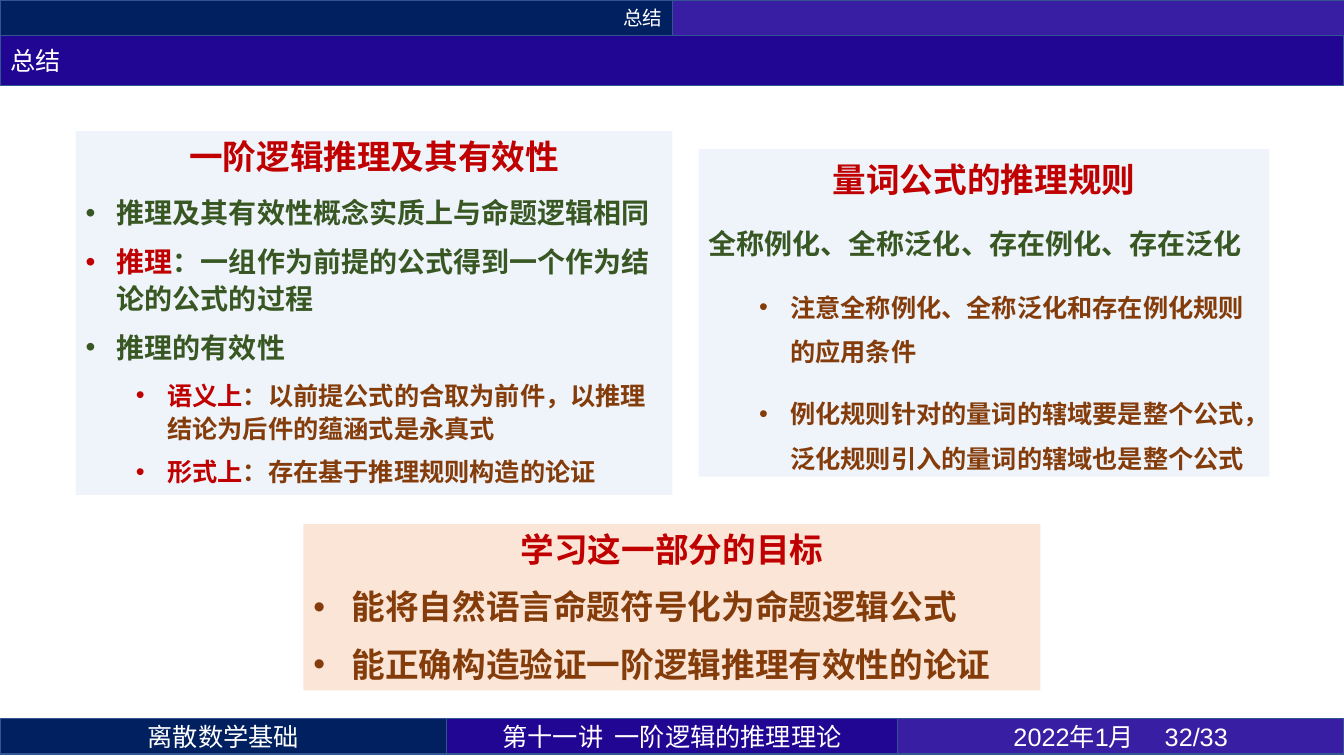
"""Build the summary slide on first-order logic inference."""
from lxml import etree
from pptx import Presentation
from pptx.dml.color import RGBColor
from pptx.enum.shapes import MSO_SHAPE
from pptx.enum.text import MSO_ANCHOR, MSO_AUTO_SIZE, PP_ALIGN
from pptx.oxml.ns import qn
from pptx.util import Inches, Pt

RECT = MSO_SHAPE.RECTANGLE
MIDDLE, TOP = MSO_ANCHOR.MIDDLE, MSO_ANCHOR.TOP
FIXED, GROW = MSO_AUTO_SIZE.NONE, MSO_AUTO_SIZE.SHAPE_TO_FIT_TEXT
LEFT, CENTER, RIGHT = PP_ALIGN.LEFT, PP_ALIGN.CENTER, PP_ALIGN.RIGHT
SANS = "Noto Sans CJK SC"
NAVY, INDIGO, VIOLET, EDGE = "002060", "210694", "371EA2", "325491"
WHITE, RED, GREEN, BROWN = "FFFFFF", "C00000", "385723", "843C0B"
BLUE, PEACH = "DEEBF7", "FBE5D6"


def paint(color, value):
    """Set a colour from a hex string."""
    color.rgb = RGBColor.from_string(value)


def write(frame, paras, bold=False, face=SANS):
    """Fill a text frame with formatted paragraphs."""
    for i, (form, indent, runs) in enumerate(paras):
        para = frame.paragraphs[0] if i == 0 else frame.add_paragraph()
        for name, value in form.items():
            setattr(para, name, value)
        if indent:
            left, hang = indent
            props = para._p.get_or_add_pPr()
            props.set("marL", str(Inches(left)))
            props.set("indent", str(-Inches(hang)))
            etree.SubElement(props, qn("a:buFont")).set("typeface", "Arial")
            etree.SubElement(props, qn("a:buChar")).set("char", "•")
        for text, size, color in runs:
            run = para.add_run()
            run.text = text
            font = run.font
            font.name, font.size, font.bold = face, Pt(size), bold
            paint(font.color, color)
            east = etree.SubElement(run._r.get_or_add_rPr(), qn("a:ea"))
            east.set("typeface", SANS)


deck = Presentation()
deck.slide_width, deck.slide_height = Inches(13.33), Inches(7.5)
slide = deck.slides.add_slide(deck.slide_layouts[5])
shapes = slide.shapes

bars = [
    (0, 0, 6.67, 0.35, NAVY, "总结", 14, RIGHT, SANS),
    (6.67, 0, 6.67, 0.35, VIOLET, "", 14, LEFT, SANS),
    (0, 7.13, 4.43, 0.35, NAVY, "离散数学基础", 18, CENTER, SANS),
    (4.43, 7.13, 4.47, 0.35, INDIGO, "第十一讲  一阶逻辑的推理理论", 18, CENTER, SANS),
    (8.9, 7.13, 4.43, 0.35, VIOLET, "2022年1月 \t32/33", 18, CENTER, "Arial"),
    (0, 0.35, 13.33, 0.5, INDIGO, "总结", 18, LEFT, SANS),
]
for x, y, wide, high, fill, text, size, align, face in bars:
    place = [Inches(v) for v in (x, y, wide, high)]
    if y == 0.35:
        bar = shapes.title
        bar.left, bar.top, bar.width, bar.height = place
    else:
        bar = shapes.add_shape(RECT, *place)
        bar.shadow.inherit = False
    bar.fill.solid()
    paint(bar.fill.fore_color, fill)
    paint(bar.line.color, EDGE)
    bar.line.width = Pt(1)
    frame = bar.text_frame
    frame.word_wrap, frame.auto_size = True, FIXED
    frame.vertical_anchor = MIDDLE
    if text:
        write(frame, [({"alignment": align}, None, [(text, size, WHITE)])], face=face)

head = {"alignment": CENTER, "space_after": Pt(6)}
even = {"alignment": LEFT, "space_before": Pt(6), "space_after": Pt(6)}
tight = even | {"space_after": Pt(3)}
point = tight | {"line_spacing": Pt(26)}
sub = tight | {"level": 1}
loose = {"line_spacing": Pt(32)}
rule = even | loose | {"level": 1}
goal, first, second = (0.38, 0.38), (0.31, 0.31), (0.81, 0.31)

cards = [
    (3.01, 5.2, 7.31, 1.65, PEACH, 100, [
        (head, None, [("学习这一部分的目标", 24, RED)]),
        (even, goal, [("能将自然语言命题符号化为命题逻辑公式", 24, BROWN)]),
        (even, goal, [("能正确构造验证一阶逻辑推理有效性的论证", 24, BROWN)]),
    ]),
    (0.75, 1.3, 5.92, 3.61, BLUE, 50, [
        (head, None, [("一阶逻辑推理及其有效性", 24, RED)]),
        (point, first, [("推理及其有效性概念实质上与命题逻辑相同", 20, GREEN)]),
        (point, first, [("推理", 20, RED),
                        ("：一组作为前提的公式得到一个作为结论的公式的过程", 20, GREEN)]),
        (point, first, [("推理的有效性", 20, GREEN)]),
        (sub | {"line_spacing": Pt(24)}, second, [
            ("语义上", 18, RED),
            ("：以前提公式的合取为前件，以推理结论为后件的蕴涵式是永真式", 18, BROWN)]),
        (sub, second, [("形式上", 18, RED),
                       ("：存在基于推理规则构造的论证", 18, BROWN)]),
    ]),
    (6.93, 1.48, 5.66, 3.25, BLUE, 50, [
        (head | loose, None, [("量词公式的推理规则", 24, RED)]),
        (even | loose, None, [("全称例化、全称泛化、存在例化、存在泛化", 20, GREEN)]),
        (rule, second, [("注意全称例化、全称泛化和存在例化规则的应用条件", 18, BROWN)]),
        (rule, second, [
            ("例化规则针对的量词的辖域要是整个公式，泛化规则引入的量词的辖域也是整个公式",
             18, BROWN)]),
    ]),
]
for x, y, wide, high, fill, alpha, paras in cards:
    card = shapes.add_shape(RECT, *[Inches(v) for v in (x, y, wide, high)])
    card.shadow.inherit = False
    card.fill.solid()
    paint(card.fill.fore_color, fill)
    if alpha < 100:
        tint = card._element.spPr.find(".//" + qn("a:srgbClr"))
        etree.SubElement(tint, qn("a:alpha")).set("val", str(alpha * 1000))
    card.line.fill.background()
    frame = card.text_frame
    frame.word_wrap, frame.auto_size = True, GROW
    frame.vertical_anchor = TOP
    write(frame, paras, bold=True)

deck.save("out.pptx")
